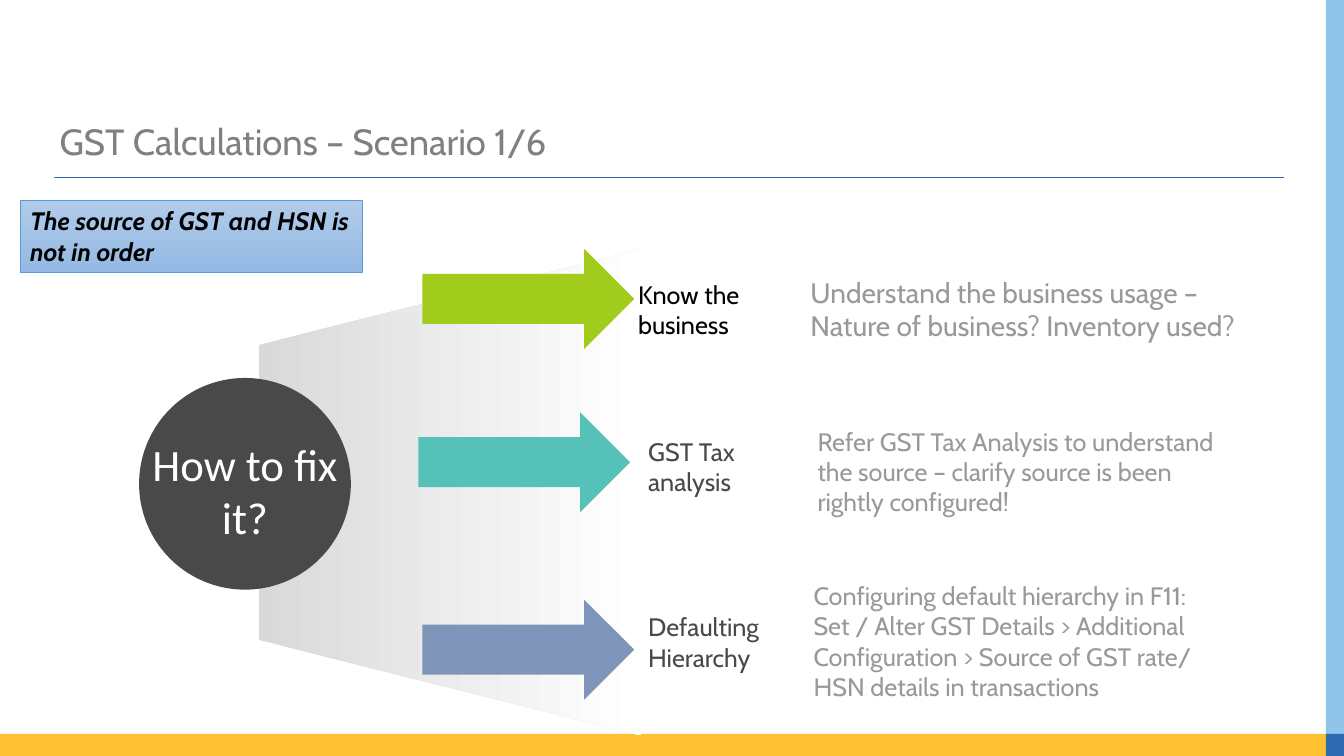
"""Build the GST scenario slide: a problem, a question and three steps to fix it."""
from lxml import etree
from pptx import Presentation
from pptx.dml.color import RGBColor as Rgb
from pptx.enum.shapes import MSO_CONNECTOR as Link, MSO_SHAPE as Kind
from pptx.enum.text import MSO_ANCHOR as Anchor, MSO_AUTO_SIZE as Fit, PP_ALIGN as Align
from pptx.oxml.ns import qn
from pptx.util import Inches, Pt

WHITE = Rgb(0xFF, 0xFF, 0xFF)
BLACK = Rgb(0, 0, 0)
DARK = Rgb(0x49, 0x49, 0x49)
GREY = Rgb(0x80, 0x80, 0x80)
PALE = Rgb(0x99, 0x99, 0x99)
MIST = Rgb(0xD9, 0xD9, 0xD9)
GOLD = Rgb(0xFF, 0xC0, 0x31)
SKY = Rgb(0x90, 0xC4, 0xE9)
BLUE = Rgb(0x2F, 0x69, 0xB0)
EDGE = Rgb(0x5B, 0x9B, 0xD5)
NOTE_TOP = Rgb(0xB1, 0xCB, 0xE9)
NOTE_END = Rgb(0x93, 0xB9, 0xE4)
LIME = Rgb(0xA1, 0xCC, 0x1C)
TEAL = Rgb(0x56, 0xC1, 0xB8)
SLATE = Rgb(0x7E, 0x94, 0xB9)

TITLE = "GST Calculations – Scenario 1/6"
NOTE = "The source of GST and HSN is not in order"
ASK = "How to fix it?"
STEPS = [
    dict(arrow=(41.9, 24.7), fill=LIME,
         label="Know the business", spot=(62.3, 27.2, 18.2, 7.1), ink=BLACK,
         text="Understand the business usage – Nature of business? Inventory used?",
         area=(79.4, 26.8, 47.5, 7.7), size=20),
    dict(arrow=(41.5, 40.9), fill=TEAL,
         label="GST Tax analysis", spot=(63.3, 42.8, 15.2, 7.1), ink=DARK,
         text="Refer GST Tax Analysis to understand the source – clarify source "
              "is been rightly configured!",
         area=(80.1, 41.8, 43.1, 10.1), size=18),
    dict(arrow=(41.9, 59.5), fill=SLATE,
         label="Defaulting Hierarchy", spot=(63.3, 60.2, 16.2, 10.1), ink=DARK,
         text="Configuring default hierarchy in F11: Set / Alter GST Details > "
              "Additional Configuration > Source of GST rate/ HSN details in transactions",
         area=(79.7, 57.1, 42.9, 13.1), size=18),
]

CELL = Inches(0.1)
COLS, ROWS = 133.3, 75
BAND, SIDE = 2.2, 1.8
ARROW = (21, 9.9)
DISC = 21


def grid(*cells):
    """Turn grid cells into slide lengths."""
    return [round(n * CELL) for n in cells]


def write(frame, text, size=18, ink=BLACK, font="Cabin", bold=None, slant=None,
          align=Align.LEFT, anchor=Anchor.TOP, fit=Fit.SHAPE_TO_FIT_TEXT, lead=None):
    """Put formatted text into a text frame."""
    frame.word_wrap, frame.auto_size, frame.vertical_anchor = True, fit, anchor
    para = frame.paragraphs[0]
    para.alignment, para.line_spacing = align, lead
    run = para.add_run()
    run.text = text
    face = run.font
    face.name, face.size, face.bold, face.italic = font, Pt(size), bold, slant
    face.color.rgb = ink


def draw(slide, kind, cells, *tints):
    """Add a flat shape, filled plainly or from the first tint down to the second."""
    shape = slide.shapes.add_shape(kind, *grid(*cells))
    shape.shadow.inherit = False
    shape.line.fill.background()
    if len(tints) == 1:
        shape.fill.solid()
        shape.fill.fore_color.rgb = tints[0]
    else:
        shape.fill.gradient()
        shape.fill.gradient_angle = 270
        for stop, tint in zip(shape.fill.gradient_stops, tints):
            stop.color.rgb = tint
    return shape


def place(slide, cells, text, **look):
    """Add a text box."""
    write(slide.shapes.add_textbox(*grid(*cells)).text_frame, text, **look)


def frame_page(slide):
    """Draw the edge bands, the title and the rule under it."""
    right, low = COLS - SIDE, ROWS - BAND
    draw(slide, Kind.RECTANGLE, (0, low, right, BAND), GOLD)
    draw(slide, Kind.RECTANGLE, (right, 0, SIDE, low), SKY)
    draw(slide, Kind.RECTANGLE, (right, low, SIDE, BAND), BLUE)
    rule = slide.shapes.add_connector(Link.STRAIGHT, *grid(5.4, 17.6, 127.3, 17.6))
    rule.line.color.rgb, rule.line.width = BLUE, Pt(0.82)
    etree.SubElement(rule._element.spPr, qn("a:effectLst"))
    title = slide.shapes.title
    title.left, title.top, title.width, title.height = grid(4.9, 11.8, 122, 5)
    write(title.text_frame, TITLE, size=26, ink=GREY, anchor=Anchor.MIDDLE,
          fit=Fit.NONE, lead=0.9)


def main():
    """Build and save the slide."""
    deck = Presentation()
    deck.slide_width, deck.slide_height = grid(COLS, ROWS)
    slide = deck.slides.add_slide(deck.slide_layouts[5])
    frame_page(slide)

    beam = draw(slide, Kind.TRAPEZOID, (20.5, 29.9, 48.2, 37.9), MIST, WHITE)
    beam.rotation = 270
    draw(slide, Kind.OVAL, (13.8, 37.5, DISC, DISC), DARK)

    for step in STEPS:
        place(slide, step["spot"], step["label"], ink=step["ink"])
        place(slide, step["area"], step["text"], size=step["size"], ink=PALE)
        draw(slide, Kind.RIGHT_ARROW, step["arrow"] + ARROW, step["fill"])

    place(slide, (13.8, 42.8, DISC, 11.8), ASK, size=32, ink=WHITE,
          font="Calibri", align=Align.CENTER)
    note = draw(slide, Kind.RECTANGLE, (2, 19.9, 33.9, 7.1), NOTE_TOP, NOTE_END)
    note.line.color.rgb, note.line.width = EDGE, Pt(0.5)
    write(note.text_frame, NOTE, bold=True, slant=True)
    deck.save("out.pptx")


if __name__ == "__main__":
    main()
